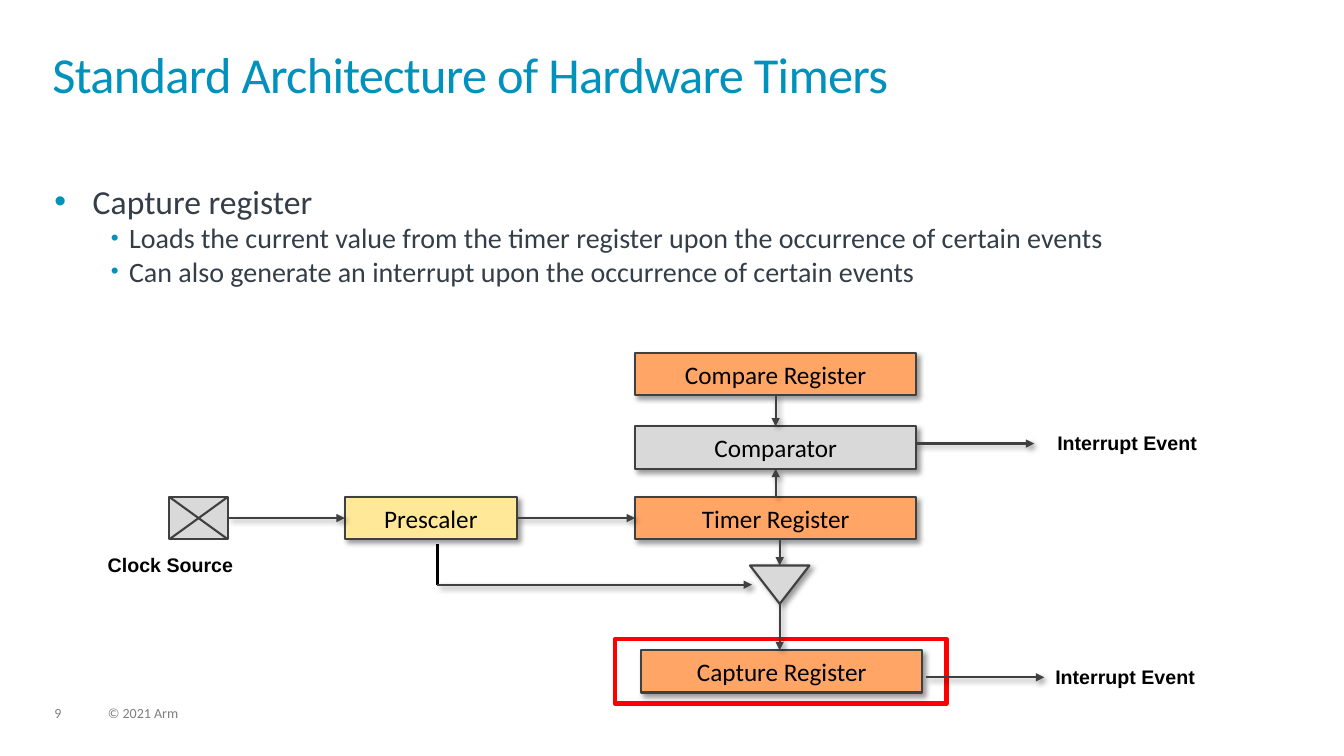
from lxml.etree import SubElement
from pptx import Presentation
from pptx.dml.color import RGBColor
from pptx.enum.shapes import MSO_CONNECTOR, MSO_SHAPE
from pptx.enum.text import MSO_ANCHOR, MSO_AUTO_SIZE, PP_ALIGN
from pptx.oxml.ns import qn
from pptx.util import Emu, Inches, Pt

COLUMNS, ROWS = 133.33, 75
TOP, BOTTOM, LEFT, RIGHT = 0, 2, 1, 3


def color(hex_text):
    return RGBColor.from_string(hex_text)


def write(paragraph, text, size=18, font="Calibri", ink="000000", bold=False,
          align=None, spacing=None, tracking=None):
    run = paragraph.add_run()
    run.text = text
    run.font.size, run.font.name, run.font.bold = Pt(size), font, bold
    run.font.color.rgb = color(ink)
    paragraph.alignment = align
    paragraph.space_before = Pt(0)
    if spacing:
        paragraph.line_spacing = spacing
    if tracking:
        run.font._element.set("spc", str(tracking))


class TimerSlide:
    accent, body_ink, muted = "0091BD", "333E48", "7F7F7F"
    register, logic, prescale = "FFA666", "D9D9D9", "FFE999"
    outline, highlight = "404040", "FF0000"
    box_rows = 4.2

    def __init__(self, deck):
        self.deck = deck
        self.slide = deck.slides.add_slide(deck.slide_layouts[1])
        self.shapes = self.slide.shapes

    def x(self, columns):
        return Emu(round(self.deck.slide_width * columns / COLUMNS))

    def y(self, rows):
        return Emu(round(self.deck.slide_height * rows / ROWS))

    def area(self, column, row, width, height):
        return self.x(column), self.y(row), self.x(width), self.y(height)

    def shade(self, effects):
        shadow = SubElement(effects, qn("a:outerShdw"), blurRad=str(Pt(4)),
                            dist=str(Pt(3)), dir="2700000", algn="tl", rotWithShape="0")
        black = SubElement(shadow, qn("a:srgbClr"), val="000000")
        SubElement(black, qn("a:alpha"), val="40000")

    def bare(self, frame):
        frame.margin_left = frame.margin_right = frame.margin_top = frame.margin_bottom = 0
        frame.word_wrap = True
        frame.auto_size = MSO_AUTO_SIZE.NONE
        frame.vertical_anchor = MSO_ANCHOR.TOP

    def place(self, holder, *area):
        holder.left, holder.top, holder.width, holder.height = self.area(*area)
        self.bare(holder.text_frame)
        return holder.text_frame

    def title(self, text):
        frame = self.place(self.shapes.title, 5.2, 5.2, 122.8, 7.2)
        write(frame.paragraphs[0], text, size=36, ink=self.accent,
              align=PP_ALIGN.LEFT, spacing=0.85, tracking=-50)

    def bullets(self, items):
        frame = self.place(self.slide.placeholders[1], 5.4, 17.9, 122.3, 44.7)
        formats = [(24, 0.38, -0.38, 100), (20, 0.74, -0.18, 80)]
        for index, (level, text) in enumerate(items):
            paragraph = frame.add_paragraph() if index else frame.paragraphs[0]
            size, margin, indent, bullet_size = formats[level]
            paragraph.level = level
            props = paragraph._p.get_or_add_pPr()
            props.set("marL", str(Inches(margin)))
            props.set("indent", str(Inches(indent)))
            tint = SubElement(props, qn("a:buClr"))
            SubElement(tint, qn("a:srgbClr"), val=self.accent)
            SubElement(props, qn("a:buSzPct"), val=str(bullet_size * 1000))
            SubElement(props, qn("a:buFont"), typeface="Arial")
            SubElement(props, qn("a:buChar"), char="•")
            write(paragraph, text, size=size, ink=self.body_ink)

    def label(self, text, column, row, width=22.6):
        frame = self.shapes.add_textbox(*self.area(column, row, width, 3.4)).text_frame
        frame.word_wrap = True
        write(frame.paragraphs[0], text, size=14, font="Arial", bold=True)

    def footer(self, text, column, width):
        frame = self.shapes.add_textbox(*self.area(column, 70.1, width, 1.5)).text_frame
        self.bare(frame)
        write(frame.paragraphs[0], text, size=10, ink=self.muted, spacing=0.9)

    def block(self, column, row, width, height=box_rows, text=None, fill=None,
              line=outline, weight=1.5, kind=MSO_SHAPE.RECTANGLE, shadow=True):
        block = self.shapes.add_shape(kind, *self.area(column, row, width, height))
        block.shadow.inherit = False
        if shadow:
            self.shade(block._element.spPr.find(qn("a:effectLst")))
        if fill:
            block.fill.solid()
            block.fill.fore_color.rgb = color(fill)
        else:
            block.fill.background()
        block.line.color.rgb, block.line.width = color(line), Pt(weight)
        if text:
            frame = block.text_frame
            frame.word_wrap = False
            frame.vertical_anchor = MSO_ANCHOR.MIDDLE
            write(frame.paragraphs[0], text, align=PP_ALIGN.CENTER)
        return block

    def line(self, start, end, arrow=True, ink=outline):
        (x1, y1), (x2, y2) = start, end
        line = self.shapes.add_connector(MSO_CONNECTOR.STRAIGHT, self.x(x1), self.y(y1),
                                         self.x(x2), self.y(y2))
        line.line.color.rgb, line.line.width = color(ink), Pt(1.5)
        props = line._element.spPr
        effects = SubElement(props, qn("a:effectLst"))
        if arrow:
            SubElement(props.find(qn("a:ln")), qn("a:tailEnd"), type="triangle",
                       w="med", len="med")
            self.shade(effects)
        return line

    def join(self, source, source_side, target, target_side):
        arrow = self.line((0, 0), (1, 1))
        arrow.begin_connect(source, source_side)
        arrow.end_connect(target, target_side)


def main():
    deck = Presentation()
    deck.slide_width, deck.slide_height = Inches(13.33), Inches(7.5)
    page = TimerSlide(deck)

    # Heading and explanation
    page.title("Standard Architecture of Hardware Timers")
    page.bullets([
        (0, "Capture register"),
        (1, "Loads the current value from the timer register upon the occurrence of certain events"),
        (1, "Can also generate an interrupt upon the occurrence of certain events"),
    ])

    # Register stack
    stack, stack_width = 63, 27.9
    compare = page.block(stack, 35, stack_width, text="Compare Register", fill=page.register)
    comparator = page.block(stack, 42.3, stack_width, text="Comparator", fill=page.logic)
    timer = page.block(stack, 49.3, stack_width, text="Timer Register", fill=page.register)
    page.join(compare, BOTTOM, comparator, TOP)
    page.join(timer, TOP, comparator, BOTTOM)

    # Clock source and prescaler
    left, top, right, bottom = 16.8, 49.3, 22.6, 53.5
    clock = page.block(left, top, right - left, fill=page.logic, shadow=False)
    page.line((left, top), (right, bottom), arrow=False)
    page.line((right, top), (left, bottom), arrow=False)
    page.label("Clock Source", 9.7, 54.4, width=20)
    prescaler = page.block(34.2, 49.3, 17.1, text="Prescaler", fill=page.prescale)
    page.join(clock, RIGHT, prescaler, LEFT)
    page.join(prescaler, RIGHT, timer, LEFT)

    # Capture path
    gate = 77.35
    page.block(61, 63.4, 32.9, 6.4, line=page.highlight, weight=3, shadow=False)
    page.block(63.6, 64.5, stack_width, text="Capture Register", fill=page.register)
    page.line((gate, 53.5), (gate, 56.1))
    buffer = page.block(74.4, 56.1, 5.9, 3.8, fill=page.logic,
                        kind=MSO_SHAPE.ISOSCELES_TRIANGLE)
    buffer.rotation = 180
    page.line((gate, 59.9), (gate, 64.5))
    page.line((43.4, 54), (43.4, 58), arrow=False, ink="000000")
    page.line((43.4, 58), (74.6, 58))

    # Interrupt outputs
    for start, row, text_column in [(90.9, 44, 103.9), (91.9, 67.2, 103.7)]:
        page.line((start, row), (start + 11.7, row))
        page.label("Interrupt Event", text_column, row - 1.7)

    # Page number and copyright
    page.footer("9", 5.4, 3.4)
    page.footer("© 2021 Arm", 10.7, 50.7)

    deck.save("out.pptx")


if __name__ == "__main__":
    main()
